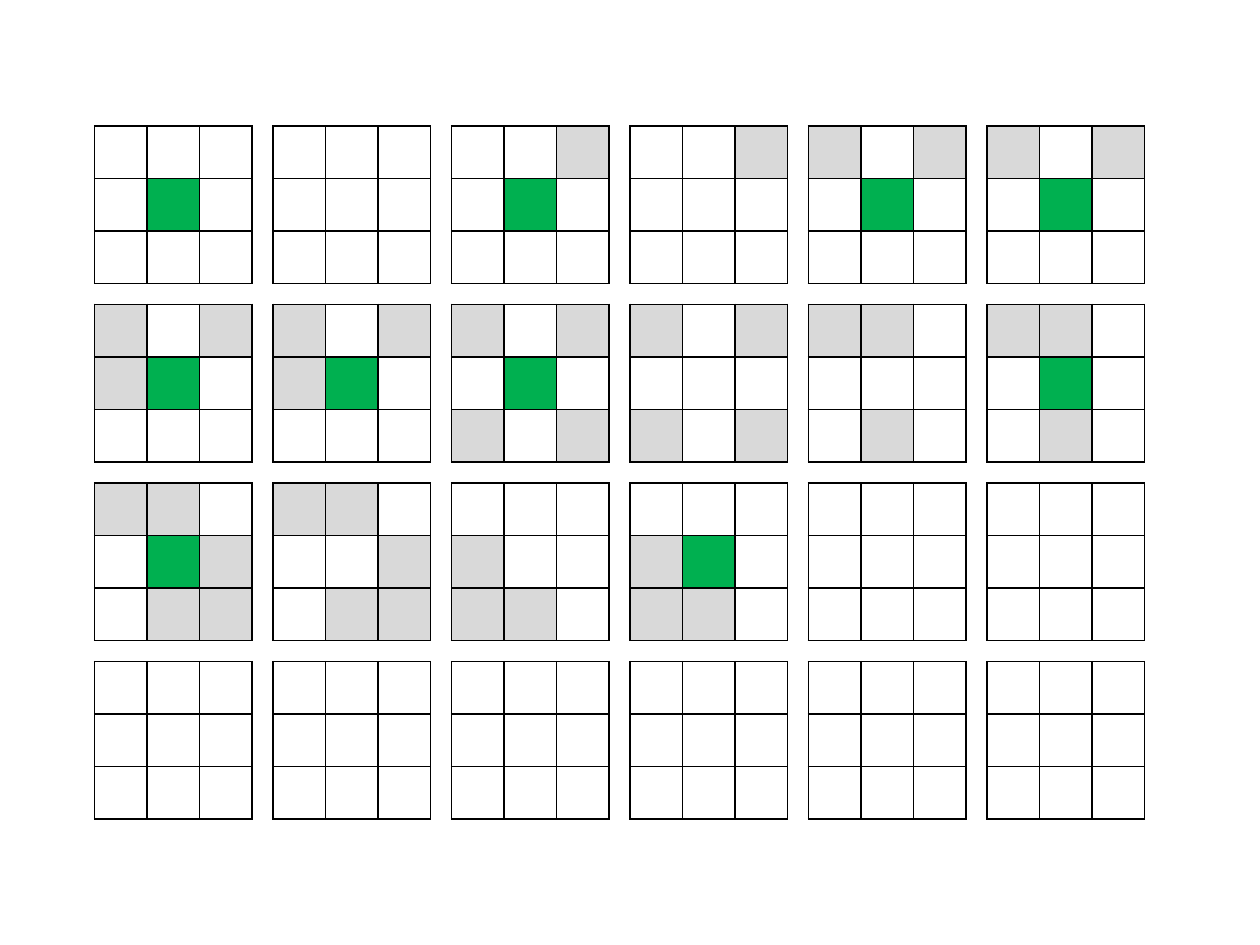
from dataclasses import dataclass

from lxml.etree import SubElement
from pptx import Presentation
from pptx.dml.color import RGBColor
from pptx.oxml.ns import qn
from pptx.util import Inches, Pt

BLACK = RGBColor(0x00, 0x00, 0x00)
GREEN = RGBColor(0x00, 0xB0, 0x50)
GREY = RGBColor(0xD9, 0xD9, 0xD9)
FILLS = {"#": GREY, "O": GREEN}

# Layout: everything is measured in cells, 24 to the slide's width
SLIDE_W, SLIDE_H = Inches(10), Inches(7.5)
CELL = SLIDE_W // 24
SIDE = 3                  # cells along a board's side
PITCH = 3.4               # cells from one board to the next
LEFT, TOP = 1.8, 2.4      # cells before the first board
BOARDS_PER_ROW = 6
BORDER = Pt(1)

# Rows of each board: "#" grey neighbour, "O" green centre, "." empty
EMPTY = "... ... ..."
PATTERNS = [
    "... .O. ...", EMPTY, "..# .O. ...", "..# ... ...", "#.# .O. ...", "#.# .O. ...",
    "#.# #O. ...", "#.# #O. ...", "#.# .O. #.#", "#.# ... #.#", "##. ... .#.", "##. .O. .#.",
    "##. .O# .##", "##. ..# .##", "... #.. ##.", "... #O. ##.", EMPTY, EMPTY,
    *[EMPTY] * BOARDS_PER_ROW,
]


@dataclass(frozen=True)
class Board:
    column: int
    row: int
    pattern: str


def add_borders(cell) -> None:
    """Draw a solid line on all four sides of a cell."""
    properties = cell._tc.get_or_add_tcPr()
    for side in ("a:lnL", "a:lnR", "a:lnT", "a:lnB"):
        line = SubElement(properties, qn(side), w=str(BORDER))
        solid = SubElement(line, qn("a:solidFill"))
        SubElement(solid, qn("a:srgbClr"), val=str(BLACK))


def style_cell(cell, mark: str) -> None:
    cell.margin_left = cell.margin_right = cell.margin_top = cell.margin_bottom = 0
    add_borders(cell)
    if mark in FILLS:
        cell.fill.solid()
        cell.fill.fore_color.rgb = FILLS[mark]
    else:
        cell.fill.background()


def draw_board(slide, board: Board) -> None:
    left = round((LEFT + board.column * PITCH) * CELL)
    top = round((TOP + board.row * PITCH) * CELL)
    table = slide.shapes.add_table(SIDE, SIDE, left, top, SIDE * CELL, SIDE * CELL).table
    table.first_row = table.horz_banding = False
    for row, marks in enumerate(board.pattern.split()):
        for column, mark in enumerate(marks):
            style_cell(table.cell(row, column), mark)


def main() -> None:
    deck = Presentation()
    deck.slide_width, deck.slide_height = SLIDE_W, SLIDE_H
    slide = deck.slides.add_slide(deck.slide_layouts[6])

    # Boards, left to right and top to bottom
    for index, pattern in enumerate(PATTERNS):
        row, column = divmod(index, BOARDS_PER_ROW)
        draw_board(slide, Board(column, row, pattern))

    deck.save("out.pptx")


if __name__ == "__main__":
    main()
